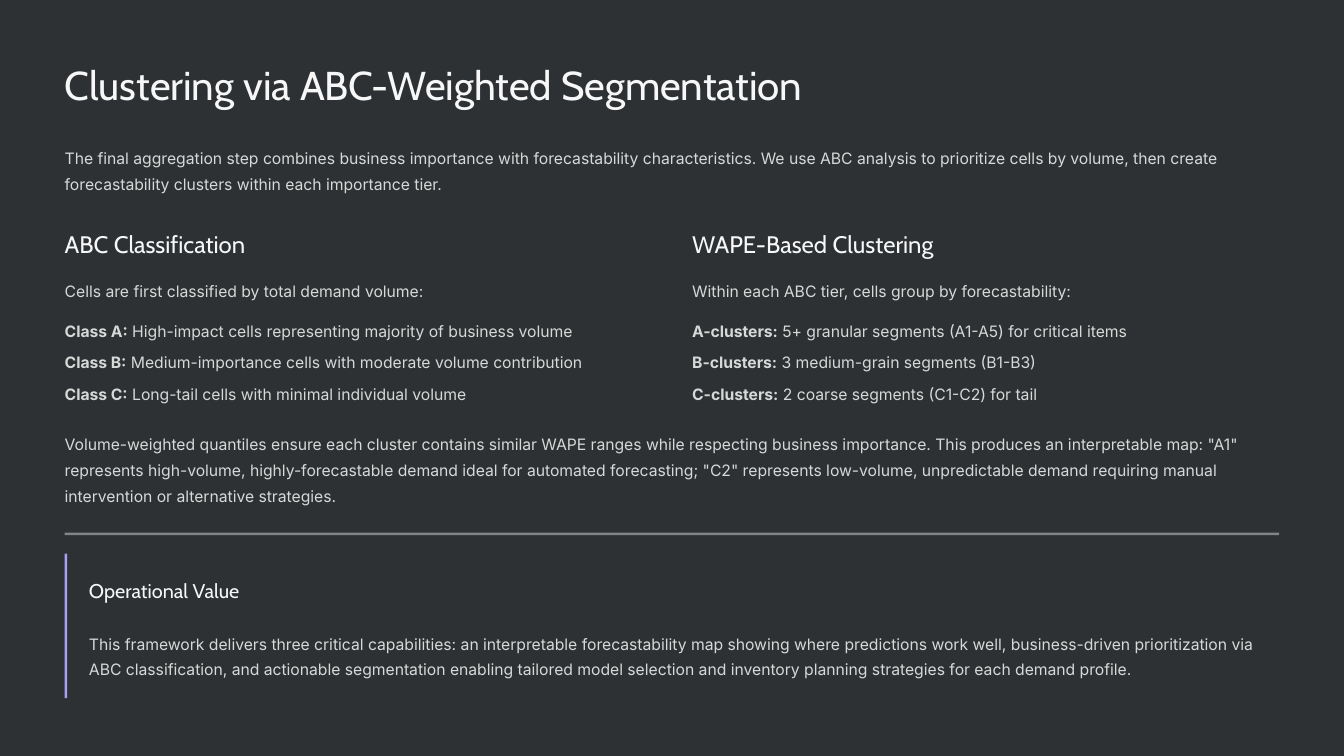
from lxml.etree import SubElement
from pptx import Presentation
from pptx.dml.color import RGBColor
from pptx.enum.shapes import MSO_SHAPE
from pptx.enum.text import MSO_ANCHOR, MSO_AUTO_SIZE, PP_ALIGN
from pptx.oxml.ns import qn
from pptx.util import Inches, Pt

WIDTH, HEIGHT = 16, 9
MARGIN, GUTTER = 0.77, 0.48
FULL = WIDTH - 2 * MARGIN
COLUMN = (FULL - GUTTER) / 2
CALLOUT = 1.06

BACKGROUND, LIGHT, GREY, ACCENT = "2D3133", "F7F7F8", "D6D9D7", "AC9EF5"
# Font, size, line spacing, colour
TITLE = ("Cabin", 34.5, 43, LIGHT)
HEADING = ("Cabin", 20.5, 26, LIGHT)
SUBHEADING = ("Cabin", 17, 21.5, LIGHT)
BODY = ("Inter", 13.5, 22, GREY)


def write(shape, box, style, lines):
    """Place a shape and fill it with (space before, bold text, plain text) lines."""
    shape.left, shape.top, shape.width, shape.height = [Inches(n) for n in box]
    font_name, size, spacing, color = style
    frame = shape.text_frame
    frame.margin_left = frame.margin_top = frame.margin_right = frame.margin_bottom = 0
    frame.word_wrap = True
    frame.auto_size = MSO_AUTO_SIZE.NONE
    frame.vertical_anchor = MSO_ANCHOR.TOP
    for index, (space, label, text) in enumerate(lines):
        paragraph = frame.add_paragraph() if index else frame.paragraphs[0]
        paragraph.alignment = PP_ALIGN.LEFT
        paragraph.line_spacing = Pt(spacing)
        paragraph.space_before = Pt(space)
        paragraph.space_after = Pt(0)
        properties = paragraph._p.get_or_add_pPr()
        properties.set("marL", "0")
        properties.set("indent", "0")
        SubElement(properties, qn("a:buNone"))
        for content, bold in ((label, True), (text, False)):
            if content:
                run = paragraph.add_run()
                run.text = content
                run.font.name = font_name
                run.font.size = Pt(size)
                run.font.bold = bold
                run.font.color.rgb = RGBColor.from_string(color)


presentation = Presentation()
presentation.slide_width = Inches(WIDTH)
presentation.slide_height = Inches(HEIGHT)
comparison_layout = presentation.slide_layouts[4]
slide = presentation.slides.add_slide(comparison_layout)
slide.background.fill.solid()
slide.background.fill.fore_color.rgb = RGBColor.from_string(BACKGROUND)

# Title
write(slide.shapes.title, (MARGIN, 0.7, FULL, 0.6), TITLE,
      [(0, "", "Clustering via ABC-Weighted Segmentation")])

# Two columns: heading, lead-in and list
columns = [
    ("ABC Classification", "Cells are first classified by total demand volume:", [
        ("Class A:", " High-impact cells representing majority of business volume"),
        ("Class B:", " Medium-importance cells with moderate volume contribution"),
        ("Class C:", " Long-tail cells with minimal individual volume")]),
    ("WAPE-Based Clustering", "Within each ABC tier, cells group by forecastability:", [
        ("A-clusters:", " 5+ granular segments (A1-A5) for critical items"),
        ("B-clusters:", " 3 medium-grain segments (B1-B3)"),
        ("C-clusters:", " 2 coarse segments (C1-C2) for tail")]),
]
for number, (heading, lead, items) in enumerate(columns):
    left = MARGIN + number * (COLUMN + GUTTER)
    heading_shape = slide.placeholders[1 + 2 * number]
    list_shape = slide.placeholders[2 + 2 * number]
    write(heading_shape, (left, 2.71, COLUMN, 0.36), HEADING, [(0, "", heading)])
    lines = [(0, "", lead)]
    for index, (label, text) in enumerate(items):
        lines.append((5 if index else 12.5, label, text))
    write(list_shape, (left, 3.27, COLUMN, 1.54), BODY, lines)

# Full-width paragraphs and the callout text
texts = [
    (MARGIN, 1.69, 0.62, BODY,
     "The final aggregation step combines business importance with forecastability "
     "characteristics. We use ABC analysis to prioritize cells by volume, then create "
     "forecastability clusters within each importance tier."),
    (MARGIN, 5.1, 0.93, BODY,
     "Volume-weighted quantiles ensure each cluster contains similar WAPE ranges while "
     'respecting business importance. This produces an interpretable map: "A1" represents '
     "high-volume, highly-forecastable demand ideal for automated forecasting; "
     '"C2" represents low-volume, unpredictable demand requiring manual intervention '
     "or alternative strategies."),
    (CALLOUT, 6.88, 0.3, SUBHEADING, "Operational Value"),
    (CALLOUT, 7.47, 0.62, BODY,
     "This framework delivers three critical capabilities: an interpretable forecastability "
     "map showing where predictions work well, business-driven prioritization via ABC "
     "classification, and actionable segmentation enabling tailored model selection and "
     "inventory planning strategies for each demand profile."),
]
for left, top, height, style, text in texts:
    text_box = slide.shapes.add_textbox(0, 0, 0, 0)
    write(text_box, (left, top, WIDTH - MARGIN - left, height), style, [(0, "", text)])

# Divider and callout bar
for top, width, height, color, opacity in (
        (6.34, FULL, 0.03, GREY, 50), (6.59, 0.03, 1.72, ACCENT, 100)):
    bar = slide.shapes.add_shape(MSO_SHAPE.RECTANGLE, Inches(MARGIN), Inches(top),
                                 Inches(width), Inches(height))
    bar.shadow.inherit = False
    bar.line.fill.background()
    bar.fill.solid()
    bar.fill.fore_color.rgb = RGBColor.from_string(color)
    if opacity < 100:
        color_element = bar._element.spPr.find(".//" + qn("a:srgbClr"))
        SubElement(color_element, qn("a:alpha"), val=str(opacity * 1000))

presentation.save("out.pptx")
